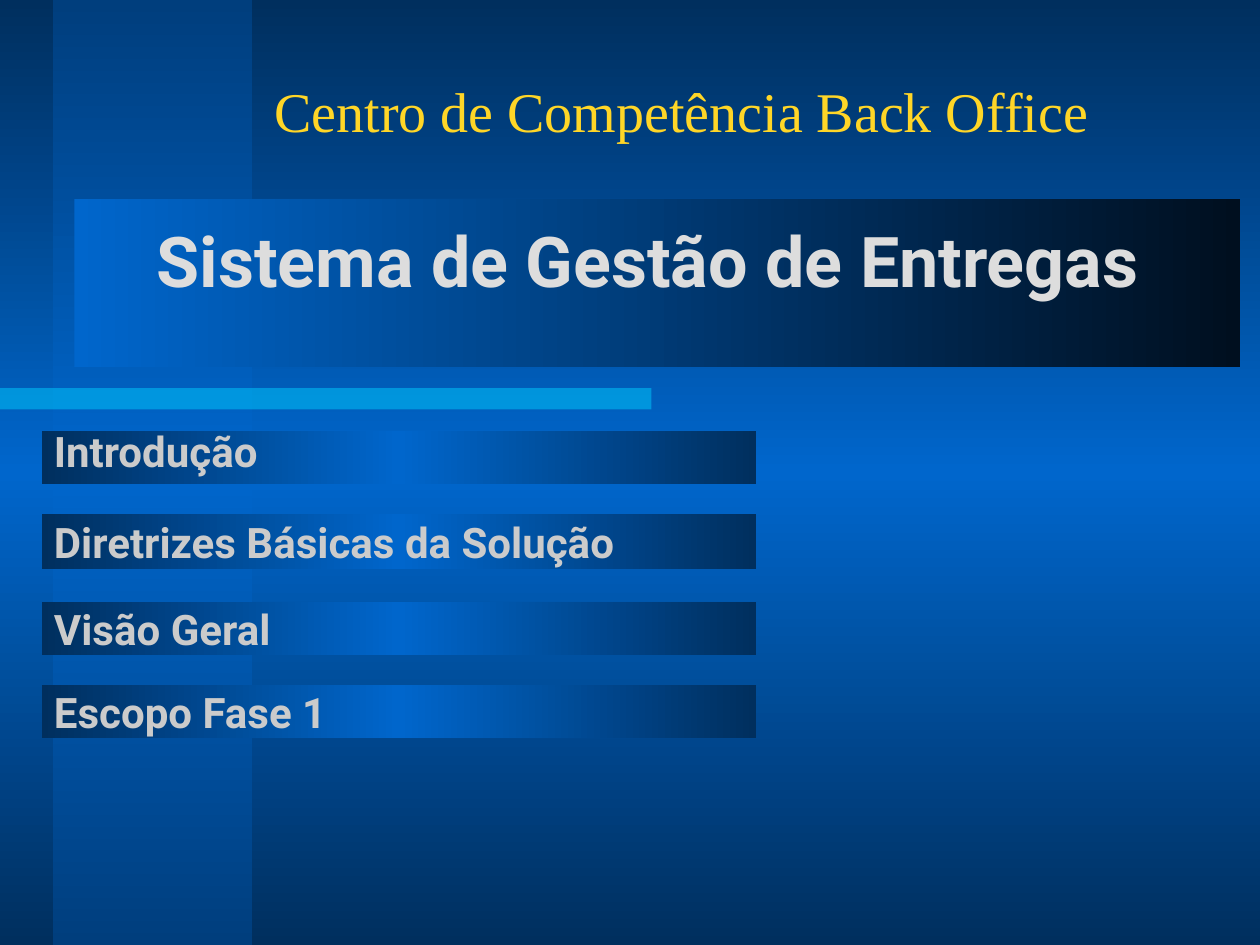
from lxml import etree
from pptx import Presentation
from pptx.dml.color import RGBColor
from pptx.enum import shapes, text
from pptx.oxml.ns import qn
from pptx.util import Inches, Pt

DARK, BLUE, BAND = "002F5E", "0066CC", "003E7D"


def color(value):
    return RGBColor.from_string(value)


def gradient(fill, element, colors, angle):
    fill.gradient()
    fill.gradient_angle = angle
    stops = element.xpath(".//a:gsLst")[0]
    for old in list(stops):
        stops.remove(old)
    for i, value in enumerate(colors):
        pos = str(round(100000 * i / (len(colors) - 1)))
        stop = etree.SubElement(stops, qn("a:gs"), pos=pos)
        etree.SubElement(stop, qn("a:srgbClr"), val=value)


def add_rect(slide, box):
    sp = slide.shapes.add_shape(
        shapes.MSO_SHAPE.RECTANGLE, *(Inches(v) for v in box))
    sp.shadow.inherit = False
    sp.line.fill.background()
    return sp


def add_gradient_rect(slide, box, colors, angle):
    sp = add_rect(slide, box)
    gradient(sp.fill, sp.element, colors, angle)
    return sp


def add_textbox(slide, box):
    sp = slide.shapes.add_textbox(*(Inches(v) for v in box))
    sp.text_frame.word_wrap = True
    return sp


def write(sp, words, size, font, value, bold=False,
          anchor=text.MSO_ANCHOR.TOP, align=text.PP_ALIGN.LEFT):
    tf = sp.text_frame
    tf.vertical_anchor = anchor
    p = tf.paragraphs[0]
    p.text = words
    p.alignment = align
    p.font.size = Pt(size)
    p.font.name = font
    p.font.bold = bold
    p.font.color.rgb = color(value)
    return p


def add_backdrop(slide):
    gradient(slide.background.fill, slide.element, [DARK, BLUE, DARK], 90)
    add_gradient_rect(slide, (0.42, 0, 1.58, 7.5), [BAND, BLUE, BAND], 90)
    add_gradient_rect(slide, (0.59, 1.58, 9.25, 1.33), [BLUE, "000F1F"], 0)
    bar = add_rect(slide, (0, 3.08, 5.17, 0.17))
    bar.fill.solid()
    bar.fill.fore_color.rgb = color("00CCFF")
    clr = bar.element.spPr.xpath("./a:solidFill/a:srgbClr")[0]
    etree.SubElement(clr, qn("a:alpha"), val="50000")


def add_header(slide, box):
    write(add_textbox(slide, box), "Centro de Competência Back Office",
          32, "Times New Roman", "FFD627", anchor=text.MSO_ANCHOR.MIDDLE)


def add_title(slide, box):
    p = write(add_textbox(slide, box), "Sistema de Gestão de Entregas",
              40, "Roboto", "DDDDDD", True, align=text.PP_ALIGN.CENTER)
    p.line_spacing = 0.75
    p.space_before = Pt(10)


def add_topic(slide, box, words):
    sp = add_gradient_rect(slide, box, [DARK, BLUE, DARK], 180)
    if words:
        sp.text_frame.word_wrap = False
        write_topic(sp, words, text.MSO_ANCHOR.MIDDLE)


def write_topic(sp, words, anchor):
    write(sp, words, 24, "Roboto", "CBCBCB", True, anchor)


def add_agenda(slide, left, width):
    topics = [
        (3.42, 0.42, ""),
        (4.08, 0.44, "Diretrizes Básicas da Solução"),
        (4.78, 0.42, "Visão Geral"),
        (5.44, 0.42, "Escopo Fase 1"),
    ]
    for top, height, words in topics:
        add_topic(slide, (left, top, width, height), words)
    intro = add_textbox(slide, (left, 3.33, width, 0.5))
    intro.text_frame.auto_size = text.MSO_AUTO_SIZE.SHAPE_TO_FIT_TEXT
    write_topic(intro, "Introdução", text.MSO_ANCHOR.TOP)


def main():
    prs = Presentation()
    prs.slide_width, prs.slide_height = Inches(10), Inches(7.5)
    slide = prs.slides.add_slide(prs.slide_layouts[6])
    add_backdrop(slide)
    add_header(slide, (2.08, 0.5, 7.83, 0.75))
    add_title(slide, (0.6, 1.83, 9.08, 0.58))
    add_agenda(slide, 0.33, 5.67)
    prs.save("out.pptx")


if __name__ == "__main__":
    main()
